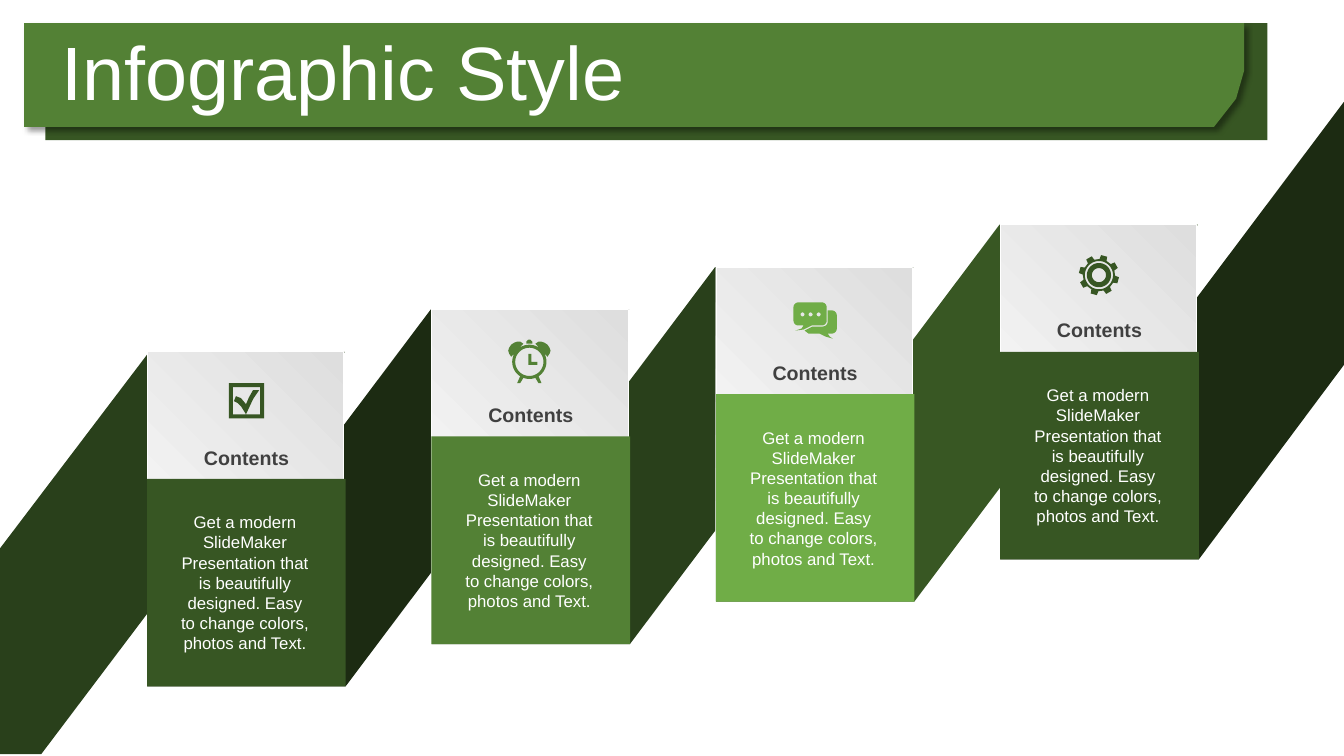
"""Build a slide of four ascending cards joined by a folded ribbon."""
from math import cos, radians, sin

from lxml import etree
from pptx import Presentation
from pptx.dml.color import RGBColor
from pptx.enum.shapes import MSO_SHAPE
from pptx.enum.text import MSO_ANCHOR, MSO_AUTO_SIZE, PP_ALIGN
from pptx.oxml.ns import qn
from pptx.util import Inches, Pt

RECTANGLE, PARALLELOGRAM = MSO_SHAPE.RECTANGLE, MSO_SHAPE.PARALLELOGRAM
MIDDLE, TOP = MSO_ANCHOR.MIDDLE, MSO_ANCHOR.TOP
CENTER, LEFT = PP_ALIGN.CENTER, PP_ALIGN.LEFT
GROW, FIXED = MSO_AUTO_SIZE.SHAPE_TO_FIT_TEXT, MSO_AUTO_SIZE.NONE

COLORS = {
    "forest": "375623", "green": "538135", "lime": "70AD47",
    "fold": "29401B", "moss": "385723", "night": "1C2B12",
    "silver": "DEDEDE", "white": "FFFFFF", "gray": "404040", "black": "000000",
}
FONT = "Arial"
TITLE = "Infographic Style"
BODY = ("Get a modern SlideMaker Presentation that is beautifully designed. "
        "Easy to change colors, photos and Text.")
CARDS = [
    {"heading": "Contents", "body": BODY, "color": "forest", "icon": "check", "icon_at": (2.27, 3.8)},
    {"heading": "Contents", "body": BODY, "color": "green", "icon": "clock", "icon_at": (5.04, 3.37)},
    {"heading": "Contents", "body": BODY, "color": "lime", "icon": "chat", "icon_at": (7.87, 3)},
    {"heading": "Contents", "body": BODY, "color": "forest", "icon": "gear", "icon_at": (10.71, 2.53)},
]
BANNER = [(0.24, 0.23), (12.34, 0.23), (12.34, 0.7), (12.26, 0.98), (12.04, 1.26), (0.24, 1.26)]
RIBBON_START = [(0, 7.48), (0, 5.44), (1.48, 3.49), (3.42, 3.49), (0.41, 7.48)]
RIBBON_END = [(13.33, 1.01), (13.33, 3.62), (11.89, 5.55), (9.92, 5.55)]
RIBBON_FOLDS = [(1, "fold"), (2, "moss"), (0, "night")]
FIRST_LEFT, FIRST_TOP, STEP, RISE = 1.46, 3.49, 2.82, 0.42


def arc(x, y, radius, start, end, steps=8):
    angles = [radians(start + (end - start) * i / steps) for i in range(steps + 1)]
    return [(x + radius * cos(a), y + radius * sin(a)) for a in angles]


def circle(x, y, radius):
    return arc(x, y, radius, 0, 360, 48)


def square(start, end):
    return [(start, start), (end, start), (end, end), (start, end)]


def mirrored(points, width):
    return [(width - x, y) for x, y in points]


def gear_rim(x, y, teeth=8):
    rim = []
    for tooth in range(teeth):
        middle = tooth * 360 / teeth + 15
        for turn, radius in ((-13, 0.16), (-9, 0.2), (9, 0.2), (13, 0.16)):
            angle = radians(middle + turn)
            rim.append((x + radius * cos(angle), y + radius * sin(angle)))
    return rim


BELL = [(0.15, 0.04), (0.12, 0.02), (0.09, 0.02), (0.06, 0.03), (0.03, 0.05),
        (0.01, 0.08), (0, 0.11), (0.01, 0.14), (0.03, 0.17)]
LEG = [(0.12, 0.36), (0.15, 0.38), (0.12, 0.43), (0.09, 0.43)]
FRONT_BUBBLE = (arc(0.05, 0.05, 0.05, 180, 270) + arc(0.28, 0.05, 0.05, 270, 360)
                + arc(0.28, 0.18, 0.05, 0, 90)
                + [(0.18, 0.23), (0.1, 0.27), (0.02, 0.28), (0.08, 0.26), (0.1, 0.23)]
                + arc(0.05, 0.18, 0.05, 90, 180))
BACK_BUBBLE = ([(0.34, 0.08)] + arc(0.38, 0.13, 0.05, 270, 360) + arc(0.38, 0.26, 0.05, 0, 90)
               + [(0.34, 0.31), (0.36, 0.34), (0.39, 0.36), (0.32, 0.34), (0.26, 0.31),
                  (0.15, 0.31), (0.11, 0.28), (0.19, 0.24)]
               + arc(0.29, 0.19, 0.05, 90, 0))
ICONS = {
    "check": [square(0, 0.35), square(0.04, 0.31),
              [(0.05, 0.18), (0.07, 0.13), (0.12, 0.15), (0.17, 0.21), (0.2, 0.14), (0.24, 0.07),
               (0.3, 0.07), (0.24, 0.16), (0.17, 0.31), (0.12, 0.23), (0.09, 0.2)]],
    "clock": [circle(0.21, 0.22, 0.17), circle(0.21, 0.22, 0.14),
              [(0.2, 0.14), (0.23, 0.14), (0.23, 0.22), (0.29, 0.22), (0.29, 0.25), (0.2, 0.25)],
              BELL, mirrored(BELL, 0.42), LEG, mirrored(LEG, 0.42),
              [(0.18, 0.04), (0.18, 0.02), (0.2, 0), (0.22, 0), (0.24, 0.02), (0.24, 0.04)]],
    "chat": [FRONT_BUBBLE, BACK_BUBBLE] + [circle(0.09 + 0.08 * i, 0.12, 0.02) for i in range(3)],
    "gear": [gear_rim(0.19, 0.2)] + [circle(0.19, 0.2, r) for r in (0.14, 0.12, 0.07)],
}


def rgb(name):
    return RGBColor.from_string(COLORS[name])


def paint(shape, color):
    shape.shadow.inherit = False
    shape.fill.solid()
    shape.fill.fore_color.rgb = rgb(color)
    shape.line.fill.background()
    return shape


def add_block(page, kind, left, top, width, height, color):
    shape = page.shapes.add_shape(kind, Inches(left), Inches(top), Inches(width), Inches(height))
    return paint(shape, color)


def add_outline(page, contours, color, left=0, top=0):
    builder = None
    for contour in contours:
        points = [(Inches(left + x), Inches(top + y)) for x, y in contour]
        if builder is None:
            builder = page.shapes.build_freeform(*points[0])
        else:
            builder.move_to(*points[0])
        builder.add_line_segments(points[1:], close=True)
    return paint(builder.convert_to_shape(), color)


def add_banner_shadow(banner):
    effects = banner._element.spPr.find(qn("a:effectLst"))
    shadow = etree.SubElement(effects, qn("a:outerShdw"), blurRad=str(Pt(4)), dist=str(Pt(3)),
                              dir="2700000", algn="tl", rotWithShape="0")
    tint = etree.SubElement(shadow, qn("a:srgbClr"), val=COLORS["black"])
    etree.SubElement(tint, qn("a:alpha"), val="40000")


def add_text(page, text, left, top, width, height, size, color,
             bold=False, align=CENTER, anchor=TOP, fit=GROW):
    box = page.shapes.add_textbox(Inches(left), Inches(top), Inches(width), Inches(height))
    frame = box.text_frame
    frame.word_wrap = True
    frame.auto_size = fit
    frame.vertical_anchor = anchor
    para = frame.paragraphs[0]
    para.alignment = align
    span = para.add_run()
    span.text = text
    span.font.name = FONT
    span.font.size = Pt(size)
    span.font.bold = bold
    span.font.color.rgb = rgb(color)
    return para


def add_card(page, card, left, top):
    panel = add_block(page, RECTANGLE, left, top, 1.95, 3.31, "white")
    panel.fill.gradient()
    panel.fill.gradient_angle = 225
    for stop, (position, color) in zip(panel.fill.gradient_stops, [(0, "silver"), (1, "white")]):
        stop.position = position
        stop.color.rgb = rgb(color)
    panel.line.color.rgb = rgb("white")
    panel.line.width = Pt(0.5)
    add_block(page, RECTANGLE, left, top + 1.26, 1.97, 2.06, card["color"])
    add_text(page, card["heading"], left + 0.23, top + 0.88, 1.51, 0.34, 14, "gray", bold=True)
    add_text(page, card["body"], left + 0.21, top + 1.54, 1.52, 1.51, 12, "white")
    add_outline(page, ICONS[card["icon"]], card["color"], *card["icon_at"])


def main():
    deck = Presentation()
    deck.slide_width, deck.slide_height = Inches(13.33), Inches(7.5)
    page = deck.slides.add_slide(deck.slide_layouts[6])
    add_block(page, RECTANGLE, 0.45, 0.23, 12.12, 1.16, "forest")
    add_banner_shadow(add_outline(page, [BANNER], "green"))
    title = add_text(page, TITLE, 0.51, 0.36, 10.98, 0.79, 54, "white",
                     align=LEFT, anchor=MIDDLE, fit=FIXED)
    title.line_spacing = 0.9

    add_outline(page, [RIBBON_END], "night")
    add_outline(page, [RIBBON_START], "fold")
    for index, color in RIBBON_FOLDS:
        fold = add_block(page, PARALLELOGRAM, FIRST_LEFT + STEP * index,
                         FIRST_TOP - RISE * (index + 1), 4.78, 3.74, color)
        fold.adjustments[0] = 0.752
    for index, card in enumerate(CARDS):
        add_card(page, card, FIRST_LEFT + STEP * index, FIRST_TOP - RISE * index)
    deck.save("out.pptx")


if __name__ == "__main__":
    main()
